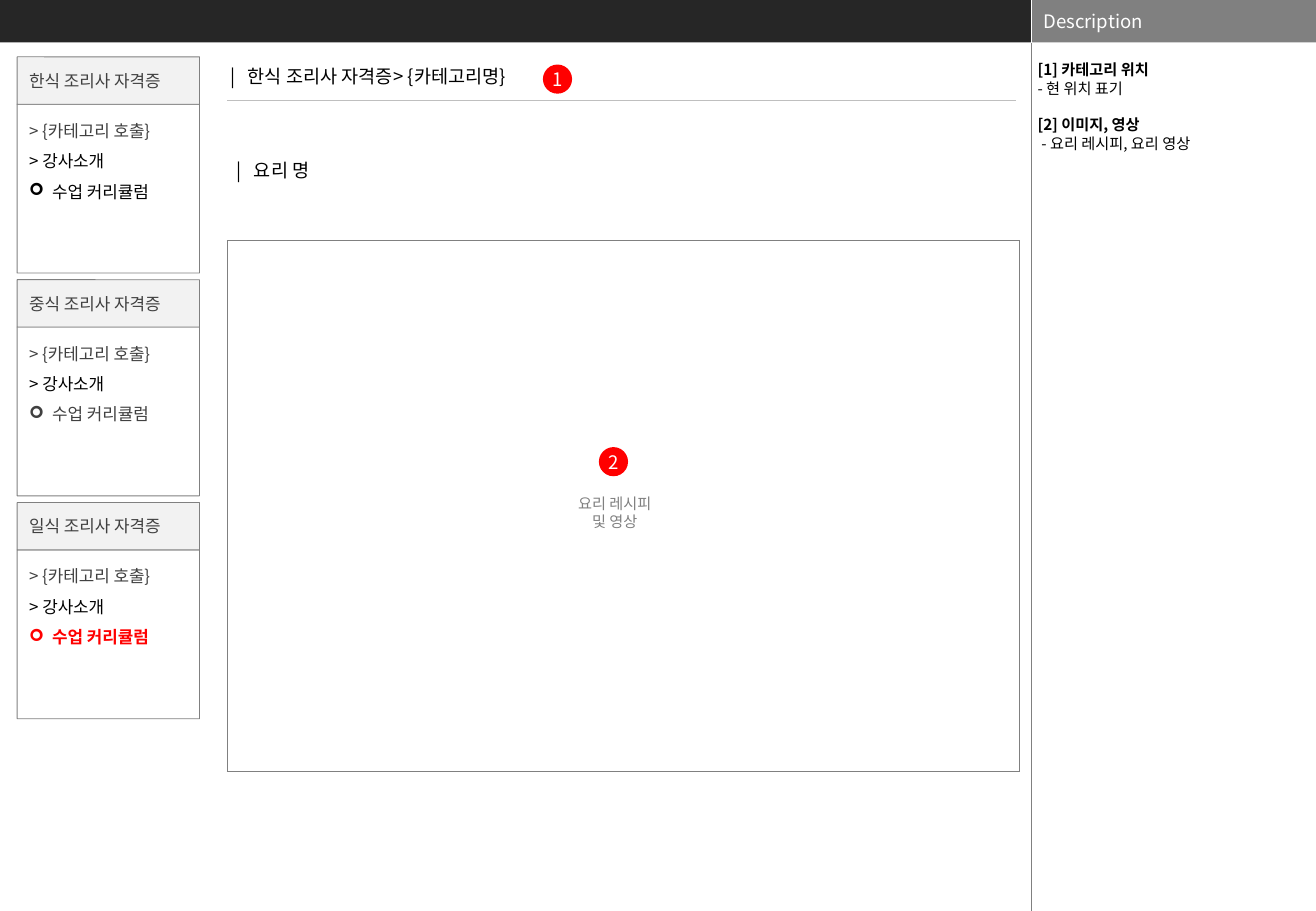
import pptx
import pptx.util
import pptx.dml.color
import pptx.enum.shapes
import pptx.enum.text
import pptx.oxml.ns
from lxml import etree

Cm, Pt = pptx.util.Cm, pptx.util.Pt
KIND = pptx.enum.shapes.MSO_SHAPE
ALIGN = pptx.enum.text.PP_ALIGN
ANCHOR = pptx.enum.text.MSO_ANCHOR
FONT = "Noto Sans CJK KR"
HUE = {"bar": "262626", "gray": "808080", "rule": "BFBFBF", "pale": "F2F2F2",
       "text": "404040", "black": "000000", "white": "FFFFFF", "red": "FF0000"}

# Content: menu title, then format of its last item
MENUS = [
    ("한식 조리사 자격증", {"hue": "black"}),
    ("중식 조리사 자격증", {"hue": "text"}),
    ("일식 조리사 자격증", {"hue": "red", "bold": True}),
]
ITEMS = [("> {카테고리 호출}", {"hue": "text"}), ("> 강사소개", {"hue": "black"})]
LAST = "수업 커리큘럼"
TITLES = [("|\t한식 조리사 자격증> {카테고리명}", 4.57, 1.24),
          ("|\t요리 명", 4.7, 3.2)]
BADGES = [("1", 11.35, 1.35), ("2", 12.52, 9.35)]
NOTES = [
    ("[1] 카테고리 위치", {"bold": True}),
    ("- 현 위치 표기", {}),
    ("[2] 이미지, 영상", {"bold": True, "before": 11}),
    ("- 요리 레시피, 요리 영상", {"indent": 0.08}),
]

# Page measures in cm
WIDE, HIGH, SPLIT, BAR = 27.51, 19.05, 21.56, 0.89
LEFT, TOP, STEP = 0.36, 1.19, 4.66
MENU, HEAD, BODY = 3.81, 0.99, 3.53

deck = pptx.Presentation()
deck.slide_width, deck.slide_height = Cm(WIDE), Cm(HIGH)
slide = deck.slides.add_slide(deck.slide_layouts[6])
shapes = slide.shapes


def color(name):
    return pptx.dml.color.RGBColor.from_string(HUE[name])


def add(parent, tag, **attrs):
    return etree.SubElement(parent, pptx.oxml.ns.qn(tag), attrs)


def write(frame, text, new=False, size=10, hue="black", bold=False, align=ALIGN.LEFT,
          space=None, before=0, indent=0, bullet=None, tab=None):
    para = frame.add_paragraph() if new else frame.paragraphs[0]
    para.alignment = align
    if space:
        para.line_spacing = space
    if before:
        para.space_before = Pt(before)
    props = para._p.get_or_add_pPr()
    if indent:
        props.set("marL", str(Cm(indent)))
    if bullet:
        props.set("indent", str(-Cm(indent)))
        add(props, "a:buFont", typeface="Wingdings")
        add(props, "a:buChar", char=bullet)
    if tab:
        add(add(props, "a:tabLst"), "a:tab", pos=str(Cm(tab)), algn="l")
    run = para.add_run()
    run.text = text
    run.font.size, run.font.bold, run.font.name = Pt(size), bold, FONT
    run.font.color.rgb = color(hue)
    add(run._r.get_or_add_rPr(), "a:ea", typeface=FONT)


def setup(frame, anchor=ANCHOR.TOP, wrap=True, inset=None):
    frame.word_wrap, frame.vertical_anchor = wrap, anchor
    if inset is not None:
        frame.margin_left = frame.margin_right = Cm(inset)
        frame.margin_top = frame.margin_bottom = 0
    return frame


def shape(kind, x, y, w, h, fill=None, line=None):
    item = shapes.add_shape(kind, Cm(x), Cm(y), Cm(w), Cm(h))
    item.shadow.inherit = False
    if fill:
        item.fill.solid()
        item.fill.fore_color.rgb = color(fill)
    else:
        item.fill.background()
    if line:
        item.line.color.rgb, item.line.width = color(line), Pt(0.5)
    else:
        item.line.fill.background()
    if kind == KIND.ROUNDED_RECTANGLE:
        item.adjustments[0] = 0.001
    return item


def box(x, y, w, h, **form):
    return setup(shapes.add_textbox(Cm(x), Cm(y), Cm(w), Cm(h)).text_frame, **form)


def rule(x1, y1, x2, y2, hue, width):
    line = shapes.add_connector(pptx.enum.shapes.MSO_CONNECTOR.STRAIGHT,
                                Cm(x1), Cm(y1), Cm(x2), Cm(y2))
    line.line.color.rgb, line.line.width = color(hue), Pt(width)
    add(line._element.spPr, "a:effectLst")


# Top bar and description column
shape(KIND.RECTANGLE, 0, 0, SPLIT, BAR, fill="bar")
shape(KIND.RECTANGLE, SPLIT, 0, WIDE - SPLIT, BAR, fill="gray")
rule(SPLIT, 0, SPLIT, BAR, "white", 0.25)
rule(SPLIT, BAR, SPLIT, HIGH, "gray", 0.25)
write(box(SPLIT, 0, WIDE - SPLIT, BAR, anchor=ANCHOR.MIDDLE),
      "Description", size=11, hue="white")
notes = box(21.59, 1.27, WIDE - 21.59, HIGH - 1.27, inset=0.1)
for n, (text, form) in enumerate(NOTES):
    write(notes, text, new=n > 0, size=9, **form)

# Framed area for recipe and video
table = shapes.add_table(1, 1, Cm(4.75), Cm(5.03), Cm(16.56), Cm(11.1)).table
table.first_row = table.horz_banding = False
cell = table.cell(0, 0)
props = cell._tc.get_or_add_tcPr()
for side in ("a:lnL", "a:lnR", "a:lnT", "a:lnB"):
    edge = add(props, side, w=str(Pt(0.5)))
    add(add(edge, "a:solidFill"), "a:srgbClr", val=HUE["gray"])
cell.fill.background()
label = shape(KIND.RECTANGLE, 11.68, 10.21, 2.34, 1.02, fill="white")
write(setup(label.text_frame), "요리 레시피 및 영상",
      size=9, hue="gray", align=ALIGN.CENTER)

# Titles and rule
for text, x, y in TITLES:
    write(box(x, y, 7.92, 0.74), text, size=11, tab=0.36)
rule(4.75, 2.1, 21.23, 2.1, "rule", 0.75)

# Side menus
for n, (title, last) in enumerate(MENUS):
    y = TOP + n * STEP
    body = shape(KIND.ROUNDED_RECTANGLE, LEFT, y + HEAD, MENU, BODY, line="gray")
    frame = setup(body.text_frame)
    for k, (text, form) in enumerate(ITEMS):
        write(frame, text, new=k > 0, space=1.5, **form)
    write(frame, LAST, new=True, space=1.5, indent=0.48, bullet="➢", **last)
    head = shape(KIND.ROUNDED_RECTANGLE, LEFT, y, MENU, HEAD, fill="pale", line="gray")
    write(setup(head.text_frame, anchor=ANCHOR.MIDDLE), title, hue="text")

# Numbered badges
for text, x, y in BADGES:
    badge = shape(KIND.OVAL, x, y, 0.61, 0.61, fill="red")
    write(setup(badge.text_frame, anchor=ANCHOR.MIDDLE, wrap=False, inset=0),
          text, size=11, hue="white", align=ALIGN.CENTER)

deck.save("out.pptx")
